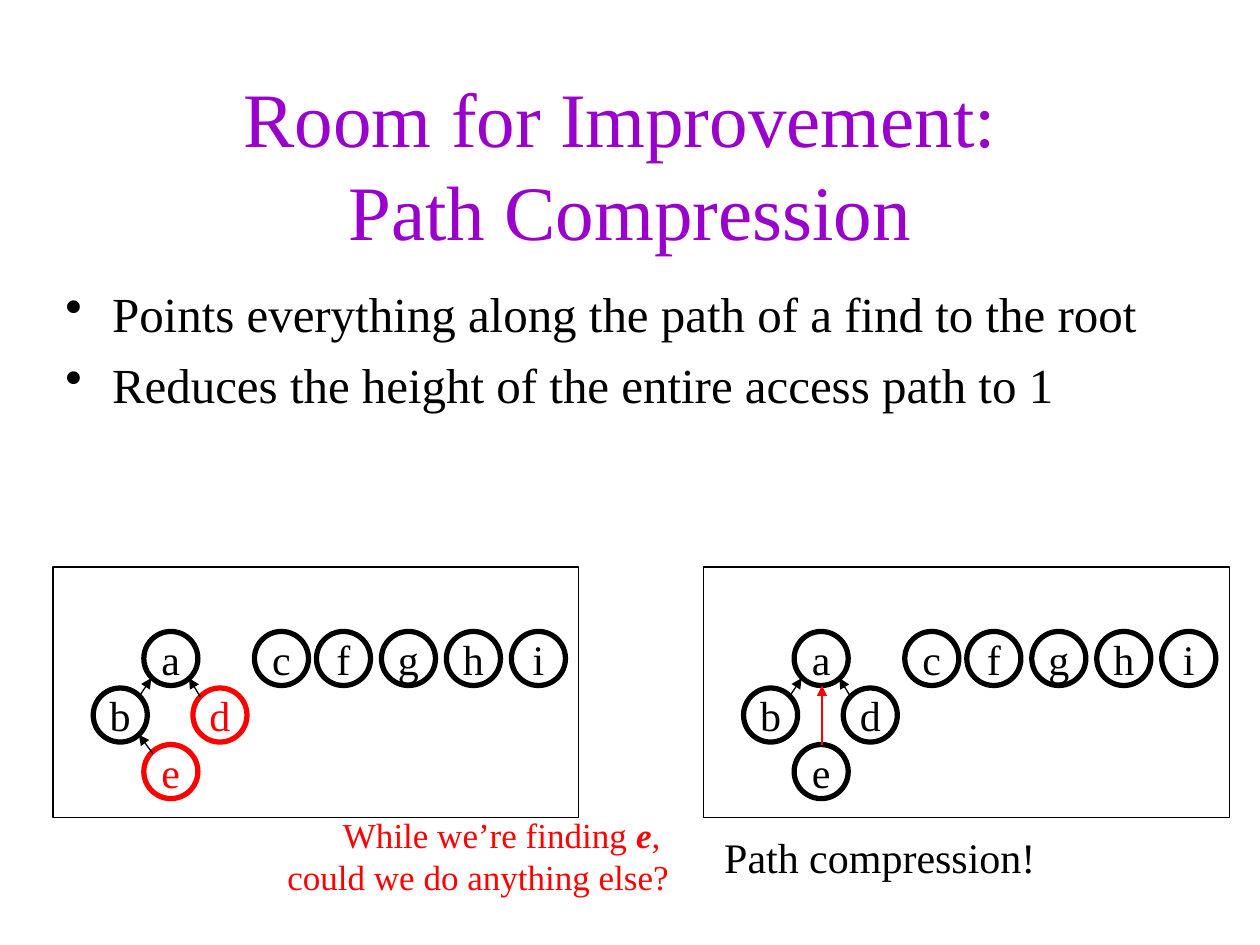
from pptx import Presentation
from pptx.dml.color import RGBColor
from pptx.enum import shapes, text
from pptx.oxml import ns
from pptx.util import Cm, Pt
from lxml import etree

INK = {"black": "000000", "white": "FFFFFF", "red": "FF0000", "violet": "9900CC"}
FONT = "Times New Roman"
SIZE = 1.09
STEP = 1.31
TREE = {"a": (1.83, 1.3), "b": (0.81, 2.44), "d": (2.82, 2.44), "e": (1.83, 3.58)}
ROW = {"c": (4.06, 1.3)} | {k: (5.31 + n * STEP, 1.3) for n, k in enumerate("fghi")}
UP = [(1.73, 2.62, 1.98, 2.24, "black"), (2.97, 2.62, 2.74, 2.24, "black")]
STEEP = (2.01, 3.76, 1.73, 3.38, "black")
DIRECT = (2.39, 3.58, 2.39, 2.39, "red")


def tint(name):
    return RGBColor.from_string(INK[name])


def sub(parent, tag, **attrs):
    return etree.SubElement(parent, ns.qn(tag), attrs)


def write(para, words, size, color, bold=False):
    run = para.add_run()
    run.text = words
    font = run.font
    font.name, font.size = FONT, Pt(size)
    font.bold = font.italic = bold
    font.color.rgb = tint(color)


def frame(slide, box, wrap=True):
    body = slide.shapes.add_textbox(*map(Cm, box)).text_frame
    body.word_wrap = wrap
    return body


def title(slide, box):
    body = frame(slide, box)
    body.vertical_anchor = text.MSO_ANCHOR.MIDDLE
    para = body.paragraphs[0]
    para.alignment = text.PP_ALIGN.CENTER
    write(para, "Room for Improvement: ", 44, "violet")
    para.add_line_break()
    write(para, "Path Compression", 44, "violet")


def points(slide, box, lines):
    body = frame(slide, box)
    body.margin_top = Cm(0.2)
    for n, line in enumerate(lines):
        para = body.add_paragraph() if n else body.paragraphs[0]
        props = para._p.get_or_add_pPr()
        props.set("marL", str(Cm(0.94)))
        props.set("indent", str(Cm(-0.94)))
        sub(props, "a:buChar", char="•")
        if n:
            para.space_before = Pt(7)
        write(para, line, 28, "black")


def shape(slide, kind, box, color, width):
    item = slide.shapes.add_shape(kind, *map(Cm, box))
    item.shadow.inherit = False
    item.line.color.rgb = tint(color)
    item.line.width = Pt(width)
    return item


def node(slide, left, top, name, color):
    ring = shape(slide, shapes.MSO_SHAPE.OVAL, (left, top, SIZE, SIZE), color, 3)
    ring.fill.background()
    body = ring.text_frame
    body.word_wrap = False
    body.vertical_anchor = text.MSO_ANCHOR.MIDDLE
    para = body.paragraphs[0]
    para.alignment = text.PP_ALIGN.CENTER
    write(para, name, 24, color)


def arrow(slide, ends, color):
    link = slide.shapes.add_connector(shapes.MSO_CONNECTOR.STRAIGHT, *map(Cm, ends))
    link.line.color.rgb = tint(color)
    link.line.width = Pt(0.75)
    sub(link.line._get_or_add_ln(), "a:tailEnd", type="triangle")
    sub(link._element.spPr, "a:effectLst")


def forest(slide, box, links, hot=""):
    left, top = box[:2]
    panel = shape(slide, shapes.MSO_SHAPE.RECTANGLE, box, "black", 0.75)
    panel.fill.solid()
    panel.fill.fore_color.rgb = tint("white")
    for name, (x, y) in (TREE | ROW).items():
        node(slide, left + x, top + y, name, "red" if name in hot else "black")
    for x, y, ex, ey, color in links:
        arrow(slide, (left + x, top + y, left + ex, top + ey), color)


def caption(slide, box, lines, size, color, align):
    body = frame(slide, box, False)
    body.auto_size = text.MSO_AUTO_SIZE.SHAPE_TO_FIT_TEXT
    for n, line in enumerate(lines):
        para = body.add_paragraph() if n else body.paragraphs[0]
        para.alignment = align
        for words, bold in line:
            write(para, words, size, color, bold)


def main():
    deck = Presentation()
    deck.slide_width, deck.slide_height = Cm(25.4), Cm(19.05)
    slide = deck.slides.add_slide(deck.slide_layouts[6])
    title(slide, (1.9, 1.7, 21.6, 3.18))
    points(slide, (1.07, 5.51, 23.29, 4.88), [
        "Points everything along the path of a find to the root",
        "Reduces the height of the entire access path to 1",
    ])
    forest(slide, (1.07, 11.43, 10.6, 5.05), UP + [STEEP], "de")
    forest(slide, (14.18, 11.43, 10.6, 5.05), UP + [DIRECT])
    caption(slide, (5.54, 16.28, 8.2, 1.96), [
        [("While we’re finding ", False), ("e", True), (", ", False)],
        [("could we do anything else?", False)],
    ], 20, "red", text.PP_ALIGN.RIGHT)
    caption(slide, (14.35, 16.64, 6.78, 1.27), [[("Path compression!", False)]],
            24, "black", text.PP_ALIGN.LEFT)
    deck.save("out.pptx")


if __name__ == "__main__":
    main()
